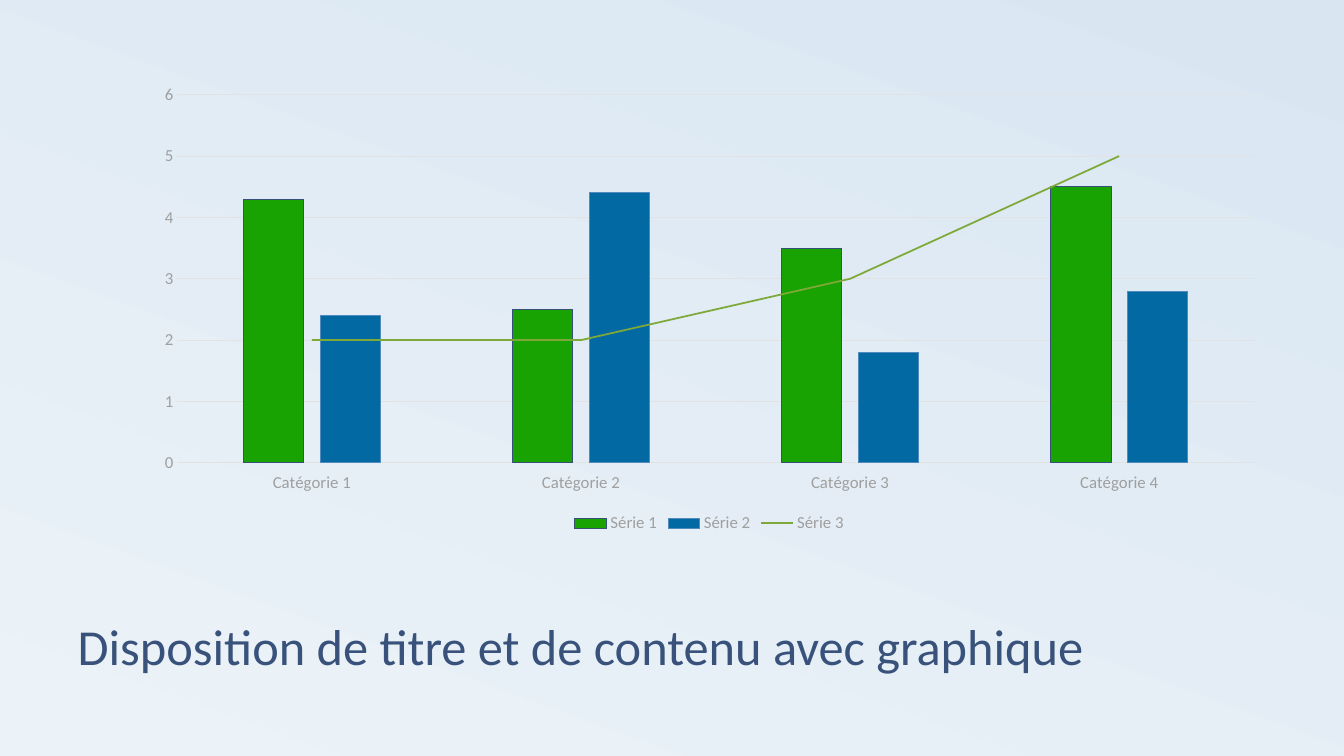
from lxml.etree import SubElement
from pptx import Presentation
from pptx.chart.data import CategoryChartData
from pptx.dml.color import RGBColor
from pptx.enum.chart import (XL_CHART_TYPE, XL_LEGEND_POSITION, XL_MARKER_STYLE,
                             XL_TICK_LABEL_POSITION, XL_TICK_MARK)
from pptx.enum.text import MSO_ANCHOR, MSO_AUTO_SIZE, PP_ALIGN
from pptx.oxml.ns import qn
from pptx.util import Inches, Pt

FONT = "Calibri"
NAVY = RGBColor(0x39, 0x52, 0x7B)
GRAY = RGBColor(0x9F, 0x9F, 0x9F)
GRID = RGBColor(0xE2, 0xE2, 0xE2)
GREEN = RGBColor(0x18, 0xA3, 0x03)
GREEN_EDGE = RGBColor(0x37, 0x50, 0x78)
BLUE = RGBColor(0x03, 0x69, 0xA3)
BLUE_EDGE = RGBColor(0x50, 0x8A, 0xBE)
OLIVE = RGBColor(0x7E, 0xA9, 0x39)
BG_LIGHT = RGBColor(0xEC, 0xF3, 0xF8)
BG_DARK = RGBColor(0xD9, 0xE6, 0xF2)

CATEGORIES = ["Catégorie 1", "Catégorie 2", "Catégorie 3", "Catégorie 4"]
SERIES = {
    "Série 1": (4.3, 2.5, 3.5, 4.5),
    "Série 2": (2.4, 4.4, 1.8, 2.8),
    "Série 3": (2, 2, 3, 5),
}
BAR_COLORS = [(GREEN, GREEN_EDGE), (BLUE, BLUE_EDGE)]


def set_attrs(obj, **values):
    for name, value in values.items():
        setattr(obj, name, value)


def set_font(font, size, color):
    set_attrs(font, name=FONT, size=Pt(size), bold=False)
    font.color.rgb = color


def set_line(line, color, width):
    line.color.rgb = color
    line.width = Pt(width)


def set_background(s):
    fill = s.background.fill
    fill.gradient()
    fill.gradient_angle = 70
    for stop, color in zip(fill.gradient_stops, (BG_LIGHT, BG_DARK)):
        stop.color.rgb = color


def set_title(s, text):
    title = s.shapes.title
    set_attrs(title, left=Inches(0.67), top=Inches(5.58),
              width=Inches(12), height=Inches(1.17))
    tf = title.text_frame
    set_attrs(tf, text=text, vertical_anchor=MSO_ANCHOR.BOTTOM,
              word_wrap=True, auto_size=MSO_AUTO_SIZE.NONE)
    p = tf.paragraphs[0]
    set_attrs(p, alignment=PP_ALIGN.LEFT, line_spacing=0.8)
    set_font(p.runs[0].font, 36, NAVY)


def move_last_series_to_line(chart):
    """Put the last column series in a line plot on the same axes."""
    bar = chart.plots[0]._element
    ser = bar.findall(qn("c:ser"))[-1]
    for invert in ser.findall(qn("c:invertIfNegative")):
        ser.remove(invert)
    line = bar.makeelement(qn("c:lineChart"))
    SubElement(line, qn("c:grouping"), val="standard")
    SubElement(line, qn("c:varyColors"), val="0")
    line.append(ser)
    SubElement(line, qn("c:marker"), val="1")
    for axis_id in bar.findall(qn("c:axId")):
        SubElement(line, qn("c:axId"), val=axis_id.get("val"))
    bar.addnext(line)


def style_axes(chart):
    for axis in (chart.category_axis, chart.value_axis):
        set_attrs(axis, major_tick_mark=XL_TICK_MARK.NONE,
                  minor_tick_mark=XL_TICK_MARK.NONE)
        set_font(axis.tick_labels.font, 12, GRAY)
    chart.category_axis.tick_label_position = XL_TICK_LABEL_POSITION.LOW
    set_line(chart.category_axis.format.line, GRID, 0.75)
    chart.value_axis.format.line.fill.background()
    set_line(chart.value_axis.major_gridlines.format.line, GRID, 0.75)


def add_combined_chart(s):
    data = CategoryChartData()
    data.categories = CATEGORIES
    for name, values in SERIES.items():
        data.add_series(name, values)
    chart = s.shapes.add_chart(XL_CHART_TYPE.COLUMN_CLUSTERED, Inches(1.41), Inches(0.75),
                               Inches(11.25), Inches(4.58), data).chart
    set_attrs(chart, has_title=False, has_legend=True)
    set_font(chart.font, 12, GRAY)
    set_attrs(chart.legend, position=XL_LEGEND_POSITION.BOTTOM, include_in_layout=False)
    set_font(chart.legend.font, 12, GRAY)
    style_axes(chart)

    move_last_series_to_line(chart)
    columns, trend = chart.plots
    set_attrs(columns, gap_width=219, overlap=-27, vary_by_categories=False)
    for series, (color, edge) in zip(columns.series, BAR_COLORS):
        series.format.fill.solid()
        series.format.fill.fore_color.rgb = color
        set_line(series.format.line, edge, 0.75)
    series = trend.series[0]
    series.smooth = False
    series.marker.style = XL_MARKER_STYLE.NONE
    set_line(series.format.line, OLIVE, 1.25)


def main():
    prs = Presentation()
    set_attrs(prs, slide_width=Inches(13.33), slide_height=Inches(7.5))
    s = prs.slides.add_slide(prs.slide_layouts[5])
    set_background(s)
    set_title(s, "Disposition de titre et de contenu avec graphique")
    add_combined_chart(s)
    prs.save("out.pptx")


if __name__ == "__main__":
    main()
